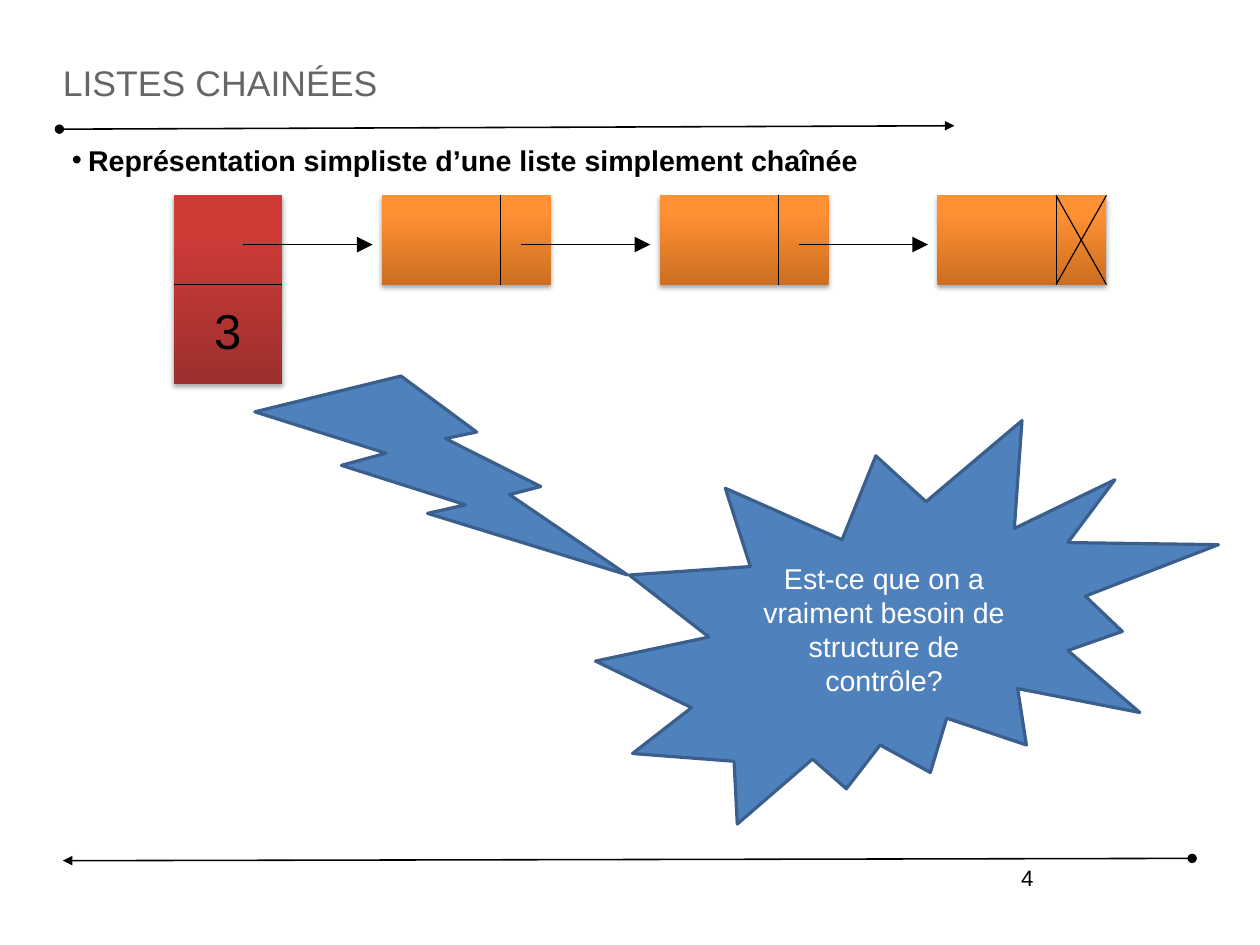
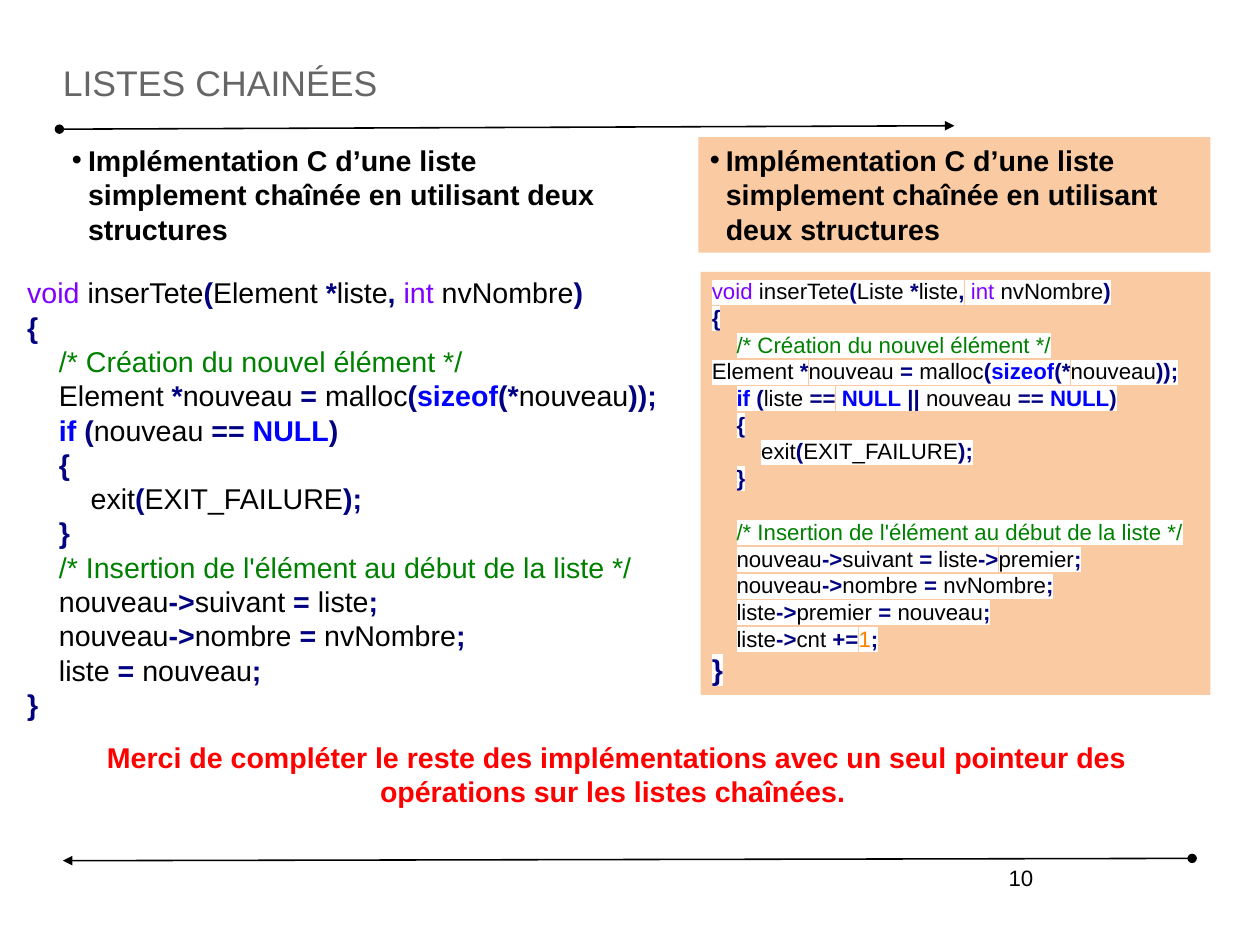
import itertools
from dataclasses import dataclass

import pptx
import pptx.dml.color
import pptx.enum.shapes
import pptx.enum.text
import pptx.oxml
import pptx.oxml.ns
import pptx.util

Inches = pptx.util.Inches
Pt = pptx.util.Pt
SHAPE = pptx.enum.shapes.MSO_SHAPE
ALIGN = pptx.enum.text.PP_ALIGN
ANCHOR = pptx.enum.text.MSO_ANCHOR

# The page is 28 by 21 centimetres.
PAGE_WIDTH, PAGE_HEIGHT = Inches(28 / 2.54), Inches(21 / 2.54)
FONT = "Arial"
COLOURS = {
    "black": "000000", "white": "FFFFFF", "title": "666666", "red": "FF0000",
    "blue": "4F81BD", "blue edge": "3A5F8C", "orange": "F79646",
    "head dark": "9C2F2D", "head light": "CE3B37",
    "node dark": "CC6E20", "node light": "FF9034",
    "type": "8000FF", "keyword": "0000FF", "symbol": "000080",
    "comment": "008000", "number": "FF8000",
}
KEYWORDS = {"void": "type", "int": "type",
            "sizeof": "keyword", "if": "keyword", "NULL": "keyword"}
NODE_LEFT, NODE_TOP, NODE_STEP = 3.34, 1.71, 2.43
NODE_WIDTH, NODE_HEIGHT, NODE_VALUE_WIDTH = 1.48, 0.78, 1.04
HEAD_LEFT, HEAD_WIDTH, HEAD_HEIGHT = 1.52, 0.95, 1.65


@dataclass(frozen=True)
class Area:
    left: float
    top: float
    width: float
    height: float


@dataclass(frozen=True)
class Line:
    start: tuple[float, float]
    end: tuple[float, float]
    width: float = 0.75
    head: str = ""
    tail: str = ""
    end_size: str = "med"


@dataclass(frozen=True)
class CodeLine:
    text: str
    level: int = 0
    space_before: float = 0
    size: float = 0


PAGE_LINES = (
    Line((0.52, 1.13), (8.35, 1.1), 1, "oval", "triangle"),
    Line((10.43, 7.51), (0.55, 7.53), 1, "oval", "triangle"),
)
ELEMENT_CODE = (
    CodeLine("void inserTete(Element *liste, int nvNombre)"),
    CodeLine("{"),
    CodeLine("/* Création du nouvel élément */", 1),
    CodeLine("Element *nouveau = malloc(sizeof(*nouveau));", 1),
    CodeLine("if (nouveau == NULL)", 1),
    CodeLine("{", 1),
    CodeLine("exit(EXIT_FAILURE);", 2),
    CodeLine("}", 1),
    CodeLine("/* Insertion de l'élément au début de la liste */", 1),
    CodeLine("nouveau->suivant = liste;", 1),
    CodeLine("nouveau->nombre = nvNombre;", 1),
    CodeLine("liste = nouveau;", 1),
    CodeLine("}"),
)
LIST_CODE = (
    CodeLine("void inserTete(Liste *liste, int nvNombre)"),
    CodeLine("{"),
    CodeLine("/* Création du nouvel élément */", 1),
    CodeLine("Element *nouveau = malloc(sizeof(*nouveau));"),
    CodeLine("if (liste == NULL || nouveau == NULL)", 1),
    CodeLine("{", 1),
    CodeLine("exit(EXIT_FAILURE);", 2),
    CodeLine("}", 1),
    CodeLine("/* Insertion de l'élément au début de la liste */", 1, space_before=17),
    CodeLine("nouveau->suivant = liste->premier;", 1),
    CodeLine("nouveau->nombre = nvNombre;", 1),
    CodeLine("liste->premier = nouveau;", 1),
    CodeLine("liste->cnt +=1;", 1),
    CodeLine("}", size=18),
)


def rgb(name: str):
    return pptx.dml.color.RGBColor.from_string(COLOURS[name])


def add_element(parent, tag: str, **attributes):
    child = parent.makeelement(pptx.oxml.ns.qn(tag), attributes)
    parent.append(child)
    return child


def write(para, text: str, *, size: float = 18, colour: str = "black",
          bold: bool = False, small_caps: bool = False, highlight: str = "") -> None:
    span = para.add_run()
    span.text = text
    span.font.size = Pt(size)
    span.font.bold = bold
    span.font.color.rgb = rgb(colour)
    properties = span.font._element
    if small_caps:
        properties.set("cap", "small")
    if highlight:
        mark = add_element(properties, "a:highlight")
        add_element(mark, "a:srgbClr", val=COLOURS[highlight])
    span.font.name = FONT


def place(box, area: Area):
    box.left, box.top = Inches(area.left), Inches(area.top)
    box.width, box.height = Inches(area.width), Inches(area.height)
    return box


def prepare_text(box, anchor=ANCHOR.TOP, align=ALIGN.LEFT):
    """Set up wrapping and anchoring, and return the first paragraph."""
    frame = box.text_frame
    frame.word_wrap = True
    frame.auto_size = pptx.enum.text.MSO_AUTO_SIZE.NONE
    frame.vertical_anchor = anchor
    para = frame.paragraphs[0]
    para.alignment = align
    return para


def add_label(page, area: Area, text: str, align=ALIGN.LEFT, **text_format) -> None:
    box = page.shapes.add_textbox(0, 0, 0, 0)
    write(prepare_text(place(box, area), align=align), text, **text_format)


def add_shape(page, kind, area: Area, fill: str = "", edge: str = ""):
    box = place(page.shapes.add_shape(kind, 0, 0, 0, 0), area)
    box.shadow.inherit = False
    if fill:
        box.fill.solid()
        box.fill.fore_color.rgb = rgb(fill)
    if edge:
        box.line.color.rgb = rgb(edge)
        box.line.width = Pt(2)
    else:
        box.line.fill.background()
    return box


def add_line(page, line: Line) -> None:
    connector = page.shapes.add_connector(
        pptx.enum.shapes.MSO_CONNECTOR.STRAIGHT,
        *(Inches(value) for value in line.start + line.end))
    connector.line.color.rgb = rgb("black")
    connector.line.width = Pt(line.width)
    properties = connector._element.spPr
    stroke = connector.line._get_or_add_ln()
    for tag, kind in (("a:headEnd", line.head), ("a:tailEnd", line.tail)):
        if kind:
            add_element(stroke, tag, type=kind, w=line.end_size, len=line.end_size)
    add_element(properties, "a:effectLst")


def add_cell(page, area: Area, colour: str) -> None:
    """Draw a shaded, shadowed block of the linked list."""
    box = add_shape(page, SHAPE.RECTANGLE, area)
    box.fill.gradient()
    box.fill.gradient_angle = 90
    for stop, shade, position in zip(box.fill.gradient_stops, ("dark", "light"), (0, 0.8)):
        stop.color.rgb = rgb(f"{colour} {shade}")
        stop.position = position
    effects = box._element.spPr.find(pptx.oxml.ns.qn("a:effectLst"))
    shadow = add_element(effects, "a:outerShdw", blurRad=str(Pt(3.1)), dist=str(Pt(1.8)),
                         dir="5400000", rotWithShape="0")
    tint = add_element(shadow, "a:srgbClr", val=COLOURS["black"])
    add_element(tint, "a:alpha", val="35000")


def fill_half_transparent(box, colour: str) -> None:
    box.fill.solid()
    box.fill.fore_color.rgb = rgb(colour)
    tint = box._element.spPr.find(pptx.oxml.ns.qn("a:solidFill"))[0]
    add_element(tint, "a:alpha", val="50000")


def fill_bullet(box, area: Area, text: str) -> None:
    para = prepare_text(place(box, area))
    para.space_before = Pt(0)
    properties = para._p.get_or_add_pPr()
    properties.set("marL", str(Inches(0.14)))
    properties.set("indent", str(-Inches(0.14)))
    add_element(properties, "a:buFont", typeface=FONT)
    add_element(properties, "a:buChar", char="•")
    write(para, text, bold=True)


def character_kind(character: str) -> str:
    if character.isspace():
        return "space"
    return "word" if character.isalnum() or character == "_" else "symbol"


def token_colour(token: str) -> str:
    if token in KEYWORDS:
        return KEYWORDS[token]
    if token.isdigit():
        return "number"
    return "symbol" if character_kind(token[0]) == "symbol" else "black"


def coloured_spans(text: str) -> list[tuple[str, str]]:
    """Split a line of C into (text, colour) pairs."""
    if text.startswith("/*"):
        return [(text, "comment")]
    tokens = ["".join(part) for _, part in itertools.groupby(text, character_kind)]
    return [("".join(part), colour)
            for colour, part in itertools.groupby(tokens, token_colour)]


def fill_code(box, lines: tuple[CodeLine, ...], size: float, highlight: str = "") -> None:
    first = prepare_text(box)
    for number, line in enumerate(lines):
        para = box.text_frame.add_paragraph() if number else first
        para.alignment = ALIGN.LEFT
        para.space_before = Pt(line.space_before)
        properties = para._p.get_or_add_pPr()
        properties.set("marL", str(Pt(line.level * size * 1.11)))
        properties.set("indent", "0")
        for text, colour in coloured_spans(line.text):
            write(para, text, size=line.size or size, colour=colour,
                  bold=colour in ("symbol", "keyword"), highlight=highlight)


def add_page(deck, layout: int, number: int):
    """Add a slide with the shared title, lines and page number."""
    page = deck.slides.add_slide(deck.slide_layouts[layout])
    title = place(page.shapes.title, Area(0.55, 0.33, 9.92, 0.72))
    para = prepare_text(title, ANCHOR.MIDDLE)
    frame = title.text_frame
    frame.margin_left = frame.margin_right = frame.margin_top = frame.margin_bottom = 0
    write(para, "listes chainées", size=28, colour="title", small_caps=True)
    for line in PAGE_LINES:
        add_line(page, line)
    add_label(page, Area(6.57, 7.51, 2.57, 0.57), str(number), ALIGN.RIGHT, size=14)
    return page


def build_diagram_page(deck) -> None:
    page = add_page(deck, 1, 4)
    fill_bullet(page.placeholders[1], Area(0.53, 1.2, 9.89, 0.4),
                "Représentation simpliste d’une liste simplement chaînée")
    bottom = NODE_TOP + NODE_HEIGHT
    add_cell(page, Area(HEAD_LEFT, NODE_TOP, HEAD_WIDTH, HEAD_HEIGHT), "head")
    add_line(page, Line((HEAD_LEFT, bottom), (HEAD_LEFT + HEAD_WIDTH, bottom)))
    add_label(page, Area(1.78, 2.58, 0.52, 0.62), "3", size=30.9)
    lefts = [NODE_LEFT + NODE_STEP * index for index in range(3)]
    for left in lefts:
        divider = left + NODE_VALUE_WIDTH
        add_cell(page, Area(left, NODE_TOP, NODE_WIDTH, NODE_HEIGHT), "node")
        add_line(page, Line((divider, NODE_TOP), (divider, bottom)))
    for left in lefts:
        add_line(page, Line((left - 1.21, 2.14), (left - 0.08, 2.14),
                            tail="triangle", end_size="lg"))
    divider, right = lefts[-1] + NODE_VALUE_WIDTH, lefts[-1] + NODE_WIDTH
    add_line(page, Line((divider, bottom), (right, NODE_TOP)))
    add_line(page, Line((divider, NODE_TOP), (right, bottom)))
    burst = add_shape(page, SHAPE.EXPLOSION2, Area(5.21, 3.68, 5.45, 3.53),
                      "blue", "blue edge")
    write(prepare_text(burst, ANCHOR.MIDDLE, ALIGN.CENTER),
          "Est-ce que on a vraiment besoin de structure de contrôle?", colour="white")
    add_shape(page, SHAPE.LIGHTNING_BOLT, Area(2.23, 3.29, 3.26, 1.74),
              "blue", "blue edge")


def build_code_page(deck) -> None:
    page = add_page(deck, 3, 10)
    heading = "Implémentation C d’une liste simplement chaînée en utilisant deux structures"
    fill_bullet(page.placeholders[1], Area(0.53, 1.2, 5.08, 1.01), heading)
    fill_bullet(page.placeholders[2], Area(6.11, 1.2, 4.48, 1.01), heading)
    fill_half_transparent(page.placeholders[2], "orange")
    element_box = page.shapes.add_textbox(0, 0, 0, 0)
    fill_code(place(element_box, Area(0.14, 2.36, 5.76, 4.04)), ELEMENT_CODE, 18)
    list_box = add_shape(page, SHAPE.RECTANGLE, Area(6.13, 2.38, 4.46, 3.7))
    fill_half_transparent(list_box, "orange")
    fill_code(list_box, LIST_CODE, 14, highlight="white")
    add_label(page, Area(0.79, 6.42, 9.21, 0.71),
              "Merci de compléter le reste des implémentations avec un seul pointeur "
              "des opérations sur les listes chaînées. ",
              ALIGN.CENTER, colour="red", bold=True)


def main() -> None:
    deck = pptx.Presentation()
    deck.slide_width, deck.slide_height = PAGE_WIDTH, PAGE_HEIGHT
    build_diagram_page(deck)
    build_code_page(deck)
    deck.save("out.pptx")


if __name__ == "__main__":
    main()
